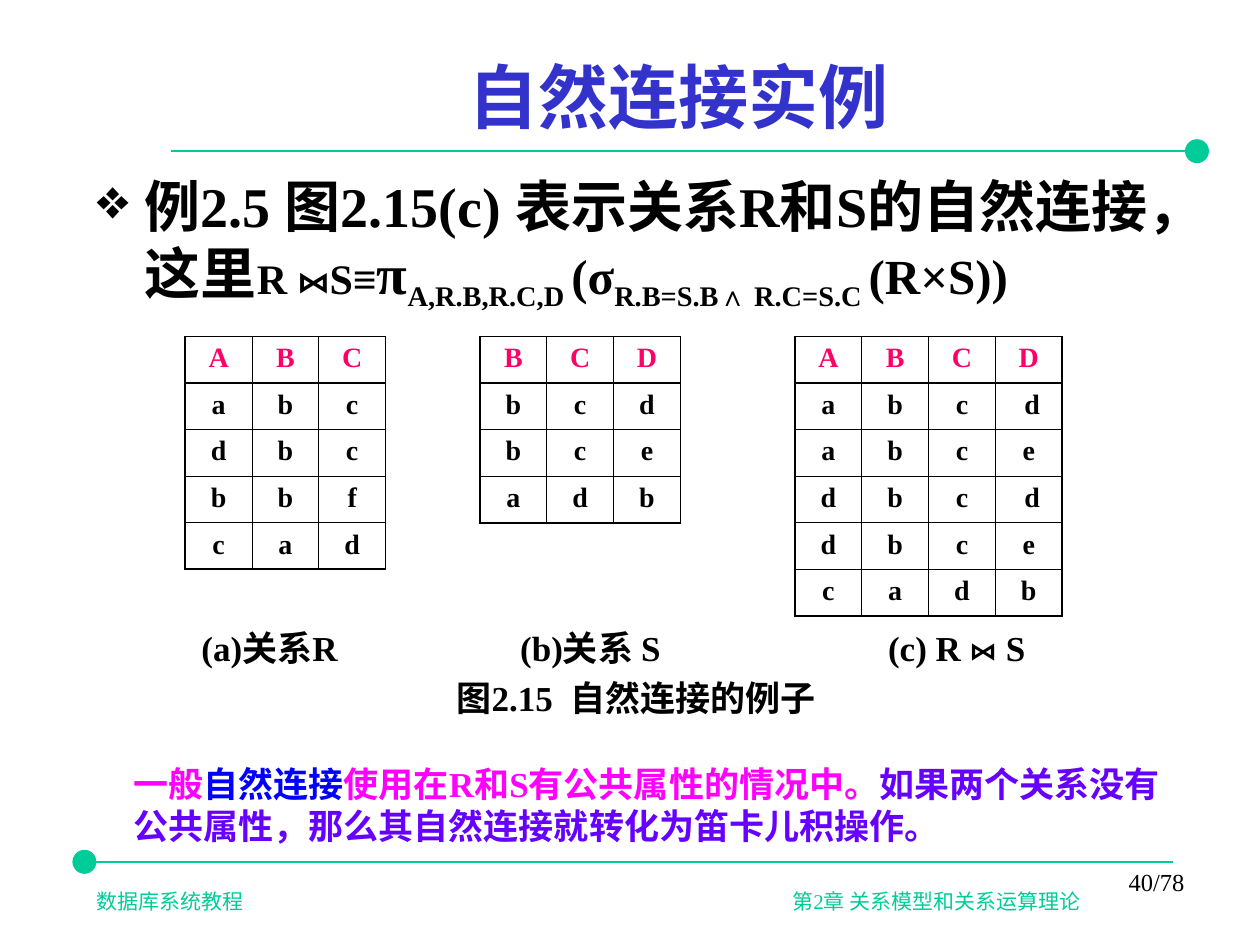
import pptx
import pptx.dml.color
import pptx.enum.shapes
import pptx.enum.text
import pptx.oxml
import pptx.oxml.ns
import pptx.util
from lxml import etree

Inches = pptx.util.Inches
Pt = pptx.util.Pt
RGBColor = pptx.dml.color.RGBColor
Align = pptx.enum.text.PP_ALIGN
qn = pptx.oxml.ns.qn

FONT = "Times New Roman"
BLACK = RGBColor(0x00, 0x00, 0x00)
GREEN = RGBColor(0x00, 0xCC, 0x99)
TITLE_BLUE = RGBColor(0x33, 0x33, 0xCC)
HEADER_PINK = RGBColor(0xFF, 0x00, 0x66)
MAGENTA = RGBColor(0xFF, 0x00, 0xFF)
BLUE = RGBColor(0x00, 0x00, 0xFF)
VIOLET = RGBColor(0x66, 0x00, 0xFF)

THICK, THIN = 1.08, 0.45
CELL_WIDTH, CELL_HEIGHT, TABLE_TOP = 0.53, 0.37, 2.67

# Each run: text, then the format values that differ from its text box.
TEXT_BOXES = [
    {"at": (0.67, 7, 8.58, 0.3), "size": 12, "color": GREEN, "bold": False,
     "paragraphs": [{"tabs": [5.52],
                     "runs": [("数据库系统教程\t第2章 关系模型和关系运算理论", {})]}]},
    {"at": (1.36, 0.25, 8.05, 1.02), "size": 40, "color": TITLE_BLUE,
     "anchor": pptx.enum.text.MSO_ANCHOR.MIDDLE,
     "paragraphs": [{"align": Align.CENTER, "runs": [("自然连接实例", {})]}]},
    {"at": (0.67, 1.31, 9.14, 1.28), "size": 32,
     "paragraphs": [{"indent": (0.38, -0.38), "bullet": "❖", "runs": [
         ("例2.5 图2.15(c) 表示关系R和S的自然连接，这里", {}),
         ("R ⋈S≡", {"size": 24}),
         ("π", {}),
         ("A,R.B,R.C,D ", {"size": 28, "baseline": -25}),
         ("(σ", {"size": 28}),
         ("R.B=S.B∧ R.C=S.C ", {"size": 28, "baseline": -25}),
         ("(R×S))", {"size": 28})]}]},
    {"at": (0.67, 4.92, 8.76, 0.58), "size": 20,
     "paragraphs": [
         {"tabs": [0.83, 3.36, 6.28],
          "runs": [("\t(a)关系R\t(b)关系 S\t(c) R ⋈ S", {})]},
         {"align": Align.CENTER, "space_before": 5,
          "runs": [("图2.15  自然连接的例子", {})]}]},
    {"at": (0.58, 6, 8.76, 0.92), "size": 20,
     "paragraphs": [{"indent": (0.38, 0), "runs": [
         ("一般", {"color": MAGENTA}),
         ("自然连接", {"color": BLUE}),
         ("使用在R和S有公共属性的情况中。", {"color": MAGENTA}),
         ("如果两个关系没有公共属性，那么其自然连接就转化为笛卡儿积操作。",
          {"color": VIOLET})]}]},
    {"at": (7.17, 6.83, 2.33, 0.5), "size": 14, "bold": False,
     "paragraphs": [{"align": Align.RIGHT, "runs": [("40/78", {})]}]},
]

RELATIONS = [
    (1.47, ["ABC", "abc", "dbc", "bbf", "cad"]),
    (3.81, ["BCD", "bcd", "bce", "adb"]),
    (6.31, ["ABCD", ["a", "b", "c", " d"], "abce",
            ["d", "b", "c", " d"], "dbce", "cadb"]),
]

# Rule line: start, end, then left and top of its end dot.
RULES = [
    ((1.36, 1.2), (9.5, 1.2), (9.41, 1.11)),
    ((9.31, 6.84), (0.67, 6.84), (0.58, 6.75)),
]


def add_rule(slide, start, end, dot):
    line = slide.shapes.add_connector(
        pptx.enum.shapes.MSO_CONNECTOR.STRAIGHT,
        *(Inches(value) for value in start + end))
    line.line.color.rgb = GREEN
    line.line.width = Pt(1.25)
    etree.SubElement(line._element.spPr, qn("a:effectLst"))
    circle = slide.shapes.add_shape(
        pptx.enum.shapes.MSO_SHAPE.FLOWCHART_CONNECTOR,
        *(Inches(value) for value in dot + (0.18, 0.18)))
    circle.shadow.inherit = False
    circle.fill.solid()
    circle.fill.fore_color.rgb = GREEN
    circle.line.color.rgb = GREEN
    circle.line.width = Pt(0.75)


def add_run(paragraph, text, size, color=BLACK, bold=True, baseline=0):
    run = paragraph.add_run()
    run.text = text
    values = {"name": FONT, "size": Pt(size), "bold": bold}
    for name, value in values.items():
        setattr(run.font, name, value)
    run.font.color.rgb = color
    if baseline:
        run._r.get_or_add_rPr().set("baseline", str(baseline * 1000))


def format_paragraph(paragraph, content):
    properties = paragraph._p.get_or_add_pPr()
    if "indent" in content:
        for name, value in zip(("marL", "indent"), content["indent"]):
            properties.set(name, str(Inches(value)))
    if "bullet" in content:
        color = etree.SubElement(properties, qn("a:buClr"))
        etree.SubElement(color, qn("a:srgbClr"), val=str(BLACK))
        etree.SubElement(properties, qn("a:buChar"), char=content["bullet"])
    if "tabs" in content:
        tabs = etree.SubElement(properties, qn("a:tabLst"))
        for position in content["tabs"]:
            etree.SubElement(tabs, qn("a:tab"), pos=str(Inches(position)), algn="l")
    paragraph.alignment = content.get("align", Align.LEFT)
    if "space_before" in content:
        paragraph.space_before = Pt(content["space_before"])


def add_text(slide, box):
    shape = slide.shapes.add_textbox(*(Inches(value) for value in box["at"]))
    frame = shape.text_frame
    frame.word_wrap = True
    frame.vertical_anchor = box.get("anchor", pptx.enum.text.MSO_ANCHOR.TOP)
    defaults = {name: box[name] for name in ("size", "color", "bold") if name in box}
    for index, content in enumerate(box["paragraphs"]):
        paragraph = frame.add_paragraph() if index else frame.paragraphs[0]
        format_paragraph(paragraph, content)
        for text, changes in content["runs"]:
            add_run(paragraph, text, **{**defaults, **changes})


def set_borders(cell, thick_sides):
    properties = cell._tc.get_or_add_tcPr()
    for side in "LRTB":
        width = THICK if side in thick_sides else THIN
        line = etree.SubElement(properties, qn("a:ln" + side), w=str(Pt(width)))
        fill = etree.SubElement(line, qn("a:solidFill"))
        etree.SubElement(fill, qn("a:srgbClr"), val=str(BLACK))


def add_relation(slide, left, rows):
    """Table with thick lines around it and around its header row."""
    row_count, column_count = len(rows), len(rows[0])
    table = slide.shapes.add_table(
        row_count, column_count, Inches(left), Inches(TABLE_TOP),
        Inches(CELL_WIDTH * column_count), Inches(CELL_HEIGHT * row_count)).table
    table.first_row = table.horz_banding = False
    for row, values in enumerate(rows):
        for column, text in enumerate(values):
            cell = table.cell(row, column)
            thick = {"L": column == 0, "R": column == column_count - 1,
                     "T": row <= 1, "B": row in (0, row_count - 1)}
            set_borders(cell, [side for side in thick if thick[side]])
            cell.fill.background()
            paragraph = cell.text_frame.paragraphs[0]
            paragraph.alignment = Align.CENTER
            add_run(paragraph, text, 16, BLACK if row else HEADER_PINK)


def main():
    presentation = pptx.Presentation()
    presentation.slide_width = Inches(10)
    presentation.slide_height = Inches(7.5)
    slide = presentation.slides.add_slide(presentation.slide_layouts[6])
    for rule in RULES:
        add_rule(slide, *rule)
    for box in TEXT_BOXES:
        add_text(slide, box)
    for left, rows in RELATIONS:
        add_relation(slide, left, rows)
    presentation.save("out.pptx")


if __name__ == "__main__":
    main()
